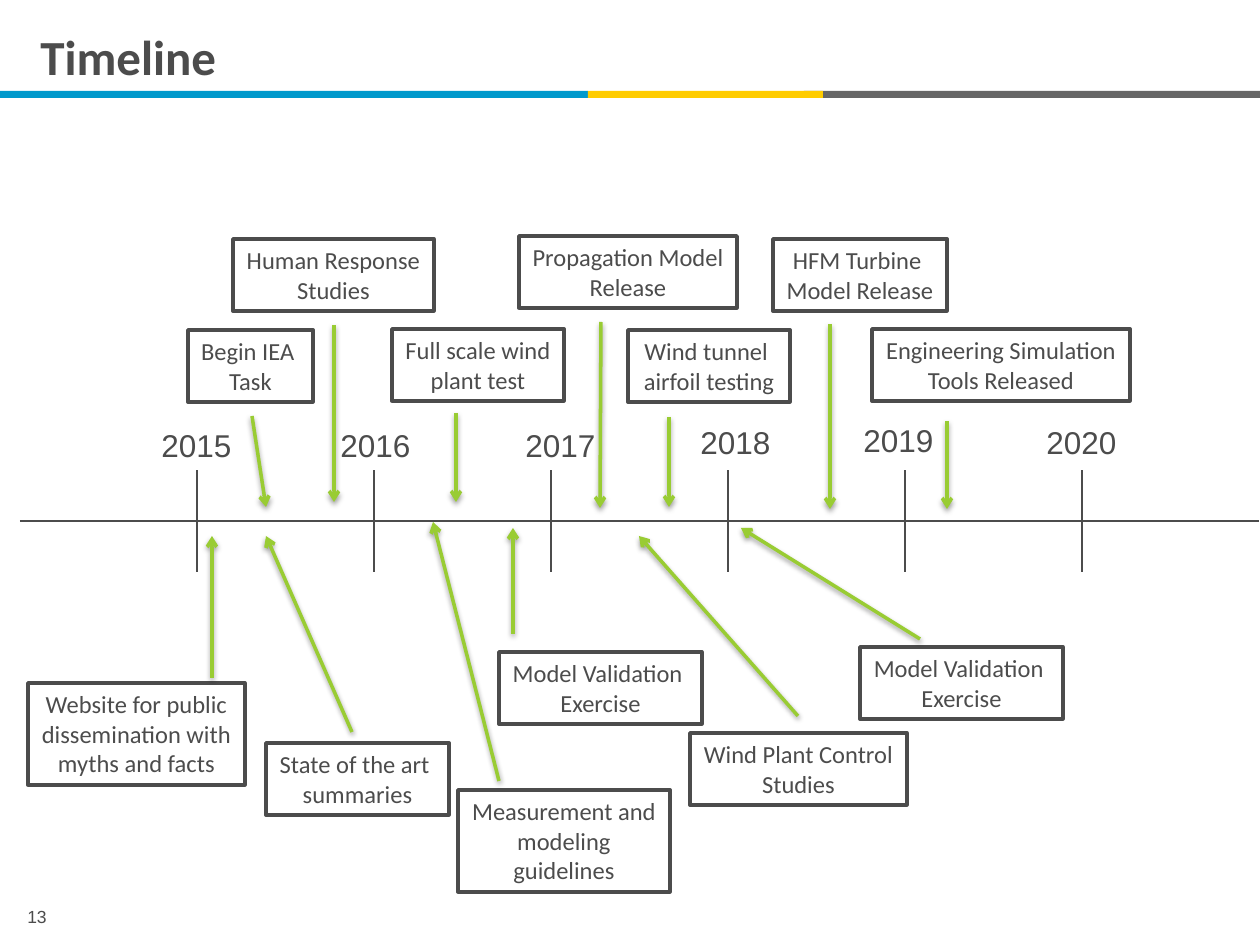
from dataclasses import dataclass

from lxml.etree import SubElement
from pptx import Presentation
from pptx.dml.color import RGBColor
from pptx.enum.shapes import MSO_CONNECTOR, MSO_SHAPE
from pptx.enum.text import MSO_ANCHOR, MSO_AUTO_SIZE, PP_ALIGN
from pptx.oxml.ns import qn
from pptx.util import Emu, Pt

EMU_PER_PX = 914400 / 126
COLORS = {
    "text": "4C4C4C",
    "white": "FFFFFF",
    "blue": "0099CC",
    "gray": "666666",
    "yellow": "FFCC00",
    "arrow": "99CC33",
    "shadow": "000000",
}
FONTS = {
    "title": {"name": "Calibri", "size": Pt(28), "bold": True},
    "milestone": {"name": "Calibri", "size": Pt(14)},
    "year": {"name": "Arial", "size": Pt(18)},
    "number": {"name": "Arial", "size": Pt(10)},
}
FRAMES = {
    "title": {"word_wrap": True, "vertical_anchor": MSO_ANCHOR.MIDDLE},
    "milestone": {"word_wrap": False, "auto_size": MSO_AUTO_SIZE.SHAPE_TO_FIT_TEXT,
                  "vertical_anchor": MSO_ANCHOR.TOP},
    "year": {"word_wrap": False, "auto_size": MSO_AUTO_SIZE.SHAPE_TO_FIT_TEXT},
    "number": {"word_wrap": True},
}
ALIGNMENTS = {
    "title": PP_ALIGN.LEFT,
    "milestone": PP_ALIGN.CENTER,
    "year": PP_ALIGN.LEFT,
    "number": PP_ALIGN.CENTER,
}


@dataclass(frozen=True)
class Box:
    left: int
    top: int
    width: int
    height: int


@dataclass(frozen=True)
class Band:
    box: Box
    color: str


@dataclass(frozen=True)
class Label:
    text: str
    box: Box
    style: str


@dataclass(frozen=True)
class Arrow:
    start_x: int
    start_y: int
    end_x: int
    end_y: int


@dataclass(frozen=True)
class Axis:
    left: int
    top: int
    column_width: int
    row_height: int
    columns: int


BANDS = [
    Band(Box(0, 91, 588, 7), "blue"),
    Band(Box(804, 91, 456, 7), "gray"),
    Band(Box(588, 91, 235, 7), "yellow"),
]
YEAR_POSITIONS = [(149, 420), (328, 420), (513, 420), (688, 417), (851, 415), (1034, 417)]
LABELS = [
    Label("13", Box(6, 900, 62, 33), "number"),
    Label("Timeline", Box(28, 0, 1202, 112), "title"),
] + [
    Label(str(year), Box(left, top, 96, 50), "year")
    for year, (left, top) in enumerate(YEAR_POSITIONS, 2015)
]
MILESTONES = [
    Label(text, Box(left, top, width, 102 if text.count("\n") == 2 else 72), "milestone")
    for text, left, top, width in [
        ("Website for public\ndissemination with\nmyths and facts", 28, 683, 217),
        ("State of the art \nsummaries", 266, 743, 183),
        ("Wind tunnel \nairfoil testing", 628, 330, 162),
        ("Full scale wind\nplant test", 392, 329, 172),
        ("Human Response\nStudies", 233, 239, 201),
        ("Model Validation \nExercise", 860, 647, 203),
        ("Measurement and\nmodeling\nguidelines", 458, 790, 212),
        ("Propagation Model\nRelease", 519, 236, 218),
        ("Begin IEA \nTask", 188, 330, 125),
        ("HFM Turbine \nModel Release", 773, 239, 174),
        ("Engineering Simulation\nTools Released", 872, 329, 258),
        ("Wind Plant Control\nStudies", 690, 733, 217),
        ("Model Validation \nExercise", 499, 652, 203),
    ]
]
ARROWS = [
    Arrow(212, 678, 212, 536),
    Arrow(352, 732, 266, 536),
    Arrow(252, 416, 266, 507),
    Arrow(334, 325, 334, 502),
    Arrow(456, 413, 456, 502),
    Arrow(513, 634, 513, 528),
    Arrow(601, 322, 600, 508),
    Arrow(669, 417, 669, 507),
    Arrow(499, 781, 433, 522),
    Arrow(798, 716, 639, 536),
    Arrow(920, 639, 741, 528),
    Arrow(830, 324, 830, 509),
    Arrow(947, 421, 947, 509),
]
AXIS = Axis(20, 470, 177, 51, 7)


def px(length: int) -> Emu:
    return Emu(round(length * EMU_PER_PX))


def color(name: str) -> RGBColor:
    return RGBColor.from_string(COLORS[name])


def place(box: Box) -> tuple:
    return px(box.left), px(box.top), px(box.width), px(box.height)


def set_values(target, values: dict) -> None:
    for name, value in values.items():
        setattr(target, name, value)


def write_text(shape, label: Label) -> None:
    shape.text_frame.text = label.text
    set_values(shape.text_frame, FRAMES[label.style])
    for paragraph in shape.text_frame.paragraphs:
        paragraph.alignment = ALIGNMENTS[label.style]
        set_values(paragraph.font, FONTS[label.style])
        paragraph.font.color.rgb = color("text")


def add_rectangle(slide, box: Box, fill: str):
    shape = slide.shapes.add_shape(MSO_SHAPE.RECTANGLE, *place(box))
    shape.shadow.inherit = False
    shape.fill.solid()
    shape.fill.fore_color.rgb = color(fill)
    shape.line.fill.background()
    return shape


def add_label(slide, label: Label) -> None:
    write_text(slide.shapes.add_textbox(*place(label.box)), label)


def add_milestone(slide, label: Label) -> None:
    shape = add_rectangle(slide, label.box, "white")
    shape.line.color.rgb = color("text")
    shape.line.width = Pt(2)
    write_text(shape, label)


def add_arrow(slide, arrow: Arrow) -> None:
    ends = (arrow.start_x, arrow.start_y, arrow.end_x, arrow.end_y)
    connector = slide.shapes.add_connector(MSO_CONNECTOR.STRAIGHT, *map(px, ends))
    connector.line.color.rgb = color("arrow")
    connector.line.width = Pt(2)
    properties = connector._element.spPr
    SubElement(properties.find(qn("a:ln")), qn("a:tailEnd"), type="arrow")
    effects = SubElement(properties, qn("a:effectLst"))
    shadow = SubElement(effects, qn("a:outerShdw"), blurRad=str(Pt(3.1)),
                        dist=str(Pt(1.6)), dir="5400000", rotWithShape="0")
    shade = SubElement(shadow, qn("a:srgbClr"), val=COLORS["shadow"])
    SubElement(shade, qn("a:alpha"), val="38000")


def set_border(cell, side: str, visible: bool) -> None:
    line = SubElement(cell._tc.get_or_add_tcPr(), qn(f"a:ln{side}"), w=str(Pt(1)))
    if visible:
        SubElement(SubElement(line, qn("a:solidFill")), qn("a:srgbClr"), val=COLORS["text"])
    else:
        SubElement(line, qn("a:noFill"))


def add_axis(slide, axis: Axis) -> None:
    box = Box(axis.left, axis.top, axis.column_width * axis.columns, axis.row_height * 2)
    table = slide.shapes.add_table(2, axis.columns, *place(box)).table
    set_values(table, {"first_row": False, "horz_banding": False})
    for row in range(2):
        for column in range(axis.columns):
            cell = table.cell(row, column)
            set_values(cell, {"margin_top": 0, "margin_bottom": 0})
            set_border(cell, "L", column > 0)
            set_border(cell, "R", column < axis.columns - 1)
            set_border(cell, "T", row == 1)
            set_border(cell, "B", row == 0)
            cell.fill.background()


def main() -> None:
    presentation = Presentation()
    set_values(presentation, {"slide_width": px(1260), "slide_height": px(945)})
    slide = presentation.slides.add_slide(presentation.slide_layouts[6])
    for band in BANDS:
        add_rectangle(slide, band.box, band.color)
    for label in LABELS:
        add_label(slide, label)
    add_axis(slide, AXIS)
    for milestone in MILESTONES:
        add_milestone(slide, milestone)
    for arrow in ARROWS:
        add_arrow(slide, arrow)
    presentation.save("out.pptx")


if __name__ == "__main__":
    main()
